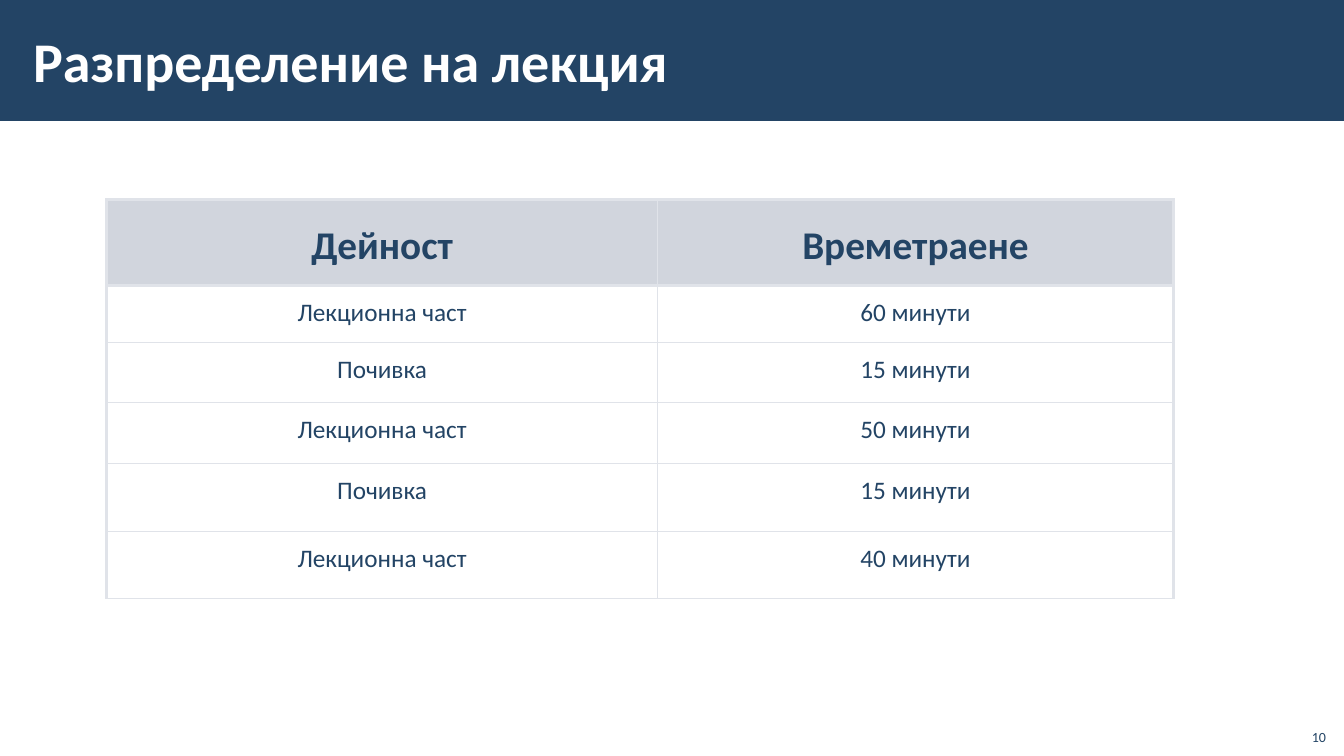
from lxml import etree
from pptx import Presentation
from pptx.dml.color import RGBColor
from pptx.enum.shapes import MSO_SHAPE
from pptx.enum.text import MSO_ANCHOR, PP_ALIGN
from pptx.oxml.ns import qn
from pptx.util import Inches, Pt

TITLE = "Разпределение на лекция"
PAGE_NUMBER = "10"
SCHEDULE = [
    ("Дейност", "Времетраене"),
    ("Лекционна част", "60 минути"),
    ("Почивка", "15 минути"),
    ("Лекционна част", "50 минути"),
    ("Почивка", "15 минути"),
    ("Лекционна част", "40 минути"),
]
COLUMN_WIDTHS = [5.46, 5.12]
ROW_HEIGHTS = [0.85, 0.57, 0.59, 0.61, 0.67, 0.67]

NAVY = RGBColor(0x23, 0x44, 0x65)
WHITE = RGBColor(0xFF, 0xFF, 0xFF)
HEADER_GRAY = RGBColor(0xD1, 0xD5, 0xDD)
BORDER_GRAY = RGBColor(0xE0, 0xE3, 0xE9)
FONT = "Calibri"
THICK, THIN = Pt(2.25), Pt(1)
NO_STYLE = "{2D5ABB26-0587-4C30-8999-92F81FD0307C}"
RECTANGLE = MSO_SHAPE.RECTANGLE
TOP, MIDDLE, BOTTOM = MSO_ANCHOR.TOP, MSO_ANCHOR.MIDDLE, MSO_ANCHOR.BOTTOM
LEFT, CENTER, RIGHT = PP_ALIGN.LEFT, PP_ALIGN.CENTER, PP_ALIGN.RIGHT


def write(frame, text, size, color, align, bold=False):
    frame.text = text
    para = frame.paragraphs[0]
    para.alignment = align
    font = para.runs[0].font
    font.name, font.size, font.bold = FONT, Pt(size), bold
    font.color.rgb = color
    return para


def add_text(page, area, text, size, color, align, anchor, side, bold=False):
    box = page.shapes.add_textbox(*map(Inches, area))
    frame = box.text_frame
    frame.word_wrap = True
    frame.vertical_anchor = anchor
    frame.margin_left = frame.margin_right = Inches(side)
    write(frame, text, size, color, align, bold)


def set_borders(cell, widths):
    properties = cell._tc.get_or_add_tcPr()
    for position, (side, width) in enumerate(widths.items()):
        line = etree.Element(qn("a:ln" + side), w=str(width))
        fill = etree.SubElement(line, qn("a:solidFill"))
        etree.SubElement(fill, qn("a:srgbClr"), val=str(BORDER_GRAY))
        properties.insert(position, line)


def add_schedule(page):
    area = (1.06, 1.98, sum(COLUMN_WIDTHS), sum(ROW_HEIGHTS))
    frame = page.shapes.add_table(len(SCHEDULE), len(COLUMN_WIDTHS), *map(Inches, area))
    table = frame.table
    table.horz_banding = False
    table._tbl.tblPr.find(qn("a:tableStyleId")).text = NO_STYLE
    for column, width in zip(table.columns, COLUMN_WIDTHS):
        column.width = Inches(width)
    for row, height in zip(table.rows, ROW_HEIGHTS):
        row.height = Inches(height)
    last_column = len(COLUMN_WIDTHS) - 1
    for r, texts in enumerate(SCHEDULE):
        header = r == 0
        for c, text in enumerate(texts):
            cell = table.cell(r, c)
            cell.margin_left = cell.margin_right = Inches(0.16 if header else 0.1)
            cell.margin_top, cell.margin_bottom = Inches(0.12), Inches(0.05)
            cell.vertical_anchor = MIDDLE if header else TOP
            para = write(cell.text_frame, text, 28 if header else 18, NAVY, CENTER, header)
            if header:
                para.line_spacing = 0.95
                cell.fill.solid()
                cell.fill.fore_color.rgb = HEADER_GRAY
            else:
                cell.fill.background()
            set_borders(cell, {
                "L": THICK if c == 0 else THIN,
                "R": THICK if c == last_column else THIN,
                "T": THICK if r <= 1 else THIN,
                "B": THICK if header else THIN,
            })


def main():
    deck = Presentation()
    deck.slide_width, deck.slide_height = Inches(13.33), Inches(7.5)
    page = deck.slides.add_slide(deck.slide_layouts[6])
    banner = page.shapes.add_shape(RECTANGLE, 0, 0, deck.slide_width, Inches(1.2))
    banner.shadow.inherit = False
    banner.fill.solid()
    banner.fill.fore_color.rgb = NAVY
    banner.line.fill.background()
    add_text(page, (0.21, 0.11, 10.63, 0.97), TITLE, 40, WHITE, LEFT, MIDDLE, 0.12, True)
    add_schedule(page)
    add_text(page, (12.85, 7.12, 0.4, 0.32), PAGE_NUMBER, 10, NAVY, RIGHT, BOTTOM, 0.1)
    deck.save("out.pptx")


if __name__ == "__main__":
    main()
